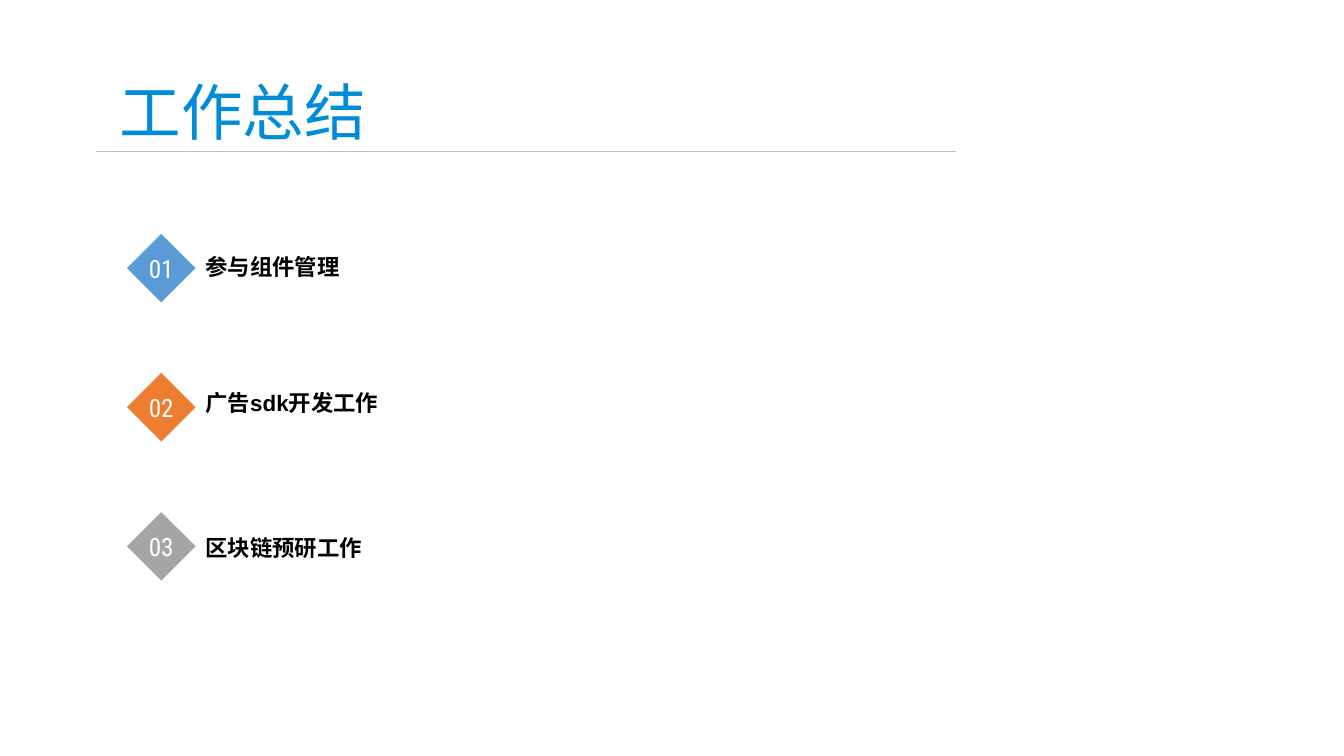
from pptx import Presentation
from pptx.dml.color import RGBColor
from pptx.enum.shapes import MSO_CONNECTOR, MSO_SHAPE
from pptx.enum.text import MSO_ANCHOR, PP_ALIGN
from pptx.oxml.ns import qn
from pptx.util import Inches, Pt
from lxml import etree

COLORS = {
    "title": "008CD7",
    "rule": "BFBFBF",
    "blue": "5B9BD5",
    "orange": "ED7D31",
    "gray": "A5A5A5",
    "white": "FFFFFF",
    "black": "000000",
}


def rgb(name):
    return RGBColor.from_string(COLORS[name])


def write(sp, text, size, font, color, anchor, wrap=False):
    tf = sp.text_frame
    tf.word_wrap = wrap
    tf.vertical_anchor = anchor
    p = tf.paragraphs[0]
    p.text = text
    p.font.size = Pt(size)
    p.font.name = font
    p.font.color.rgb = rgb(color)
    return p


prs = Presentation()
prs.slide_width = Inches(13.33)
prs.slide_height = Inches(7.5)
s = prs.slides.add_slide(prs.slide_layouts[6])

title = s.shapes.add_textbox(Inches(0.95), Inches(0.42), Inches(11.5), Inches(1.45))
p = write(title, " 工作总结", 44, "Arial", "title", MSO_ANCHOR.MIDDLE, wrap=True)
p.line_spacing = 0.9

rule = s.shapes.add_connector(
    MSO_CONNECTOR.STRAIGHT, Inches(0.95), Inches(1.5), Inches(9.48), Inches(1.5)
)
rule.line.color.rgb = rgb("rule")
rule.line.width = Pt(0.25)
etree.SubElement(rule._element.spPr, qn("a:effectLst"))

items = [
    ("参与组件管理", "blue", 2.44),
    ("广告sdk开发工作", "orange", 3.79),
    ("区块链预研工作", "gray", 5.22),
]
for i, (text, color, label_top) in enumerate(items):
    diamond = s.shapes.add_shape(
        MSO_SHAPE.DIAMOND, Inches(1.26), Inches(2.32 + 1.38 * i), Inches(0.68), Inches(0.68)
    )
    diamond.shadow.inherit = False
    diamond.fill.solid()
    diamond.fill.fore_color.rgb = rgb(color)
    diamond.line.fill.background()
    p = write(diamond, f"{i + 1:02d}", 18, "Roboto Condensed", "white", MSO_ANCHOR.MIDDLE)
    p.alignment = PP_ALIGN.CENTER

    label = s.shapes.add_textbox(Inches(1.94), Inches(label_top), Inches(4.33), Inches(0.39))
    p = write(label, text, 16, "Arial", "black", MSO_ANCHOR.BOTTOM)
    p.alignment = PP_ALIGN.LEFT
    p.font.bold = True

prs.save("out.pptx")
